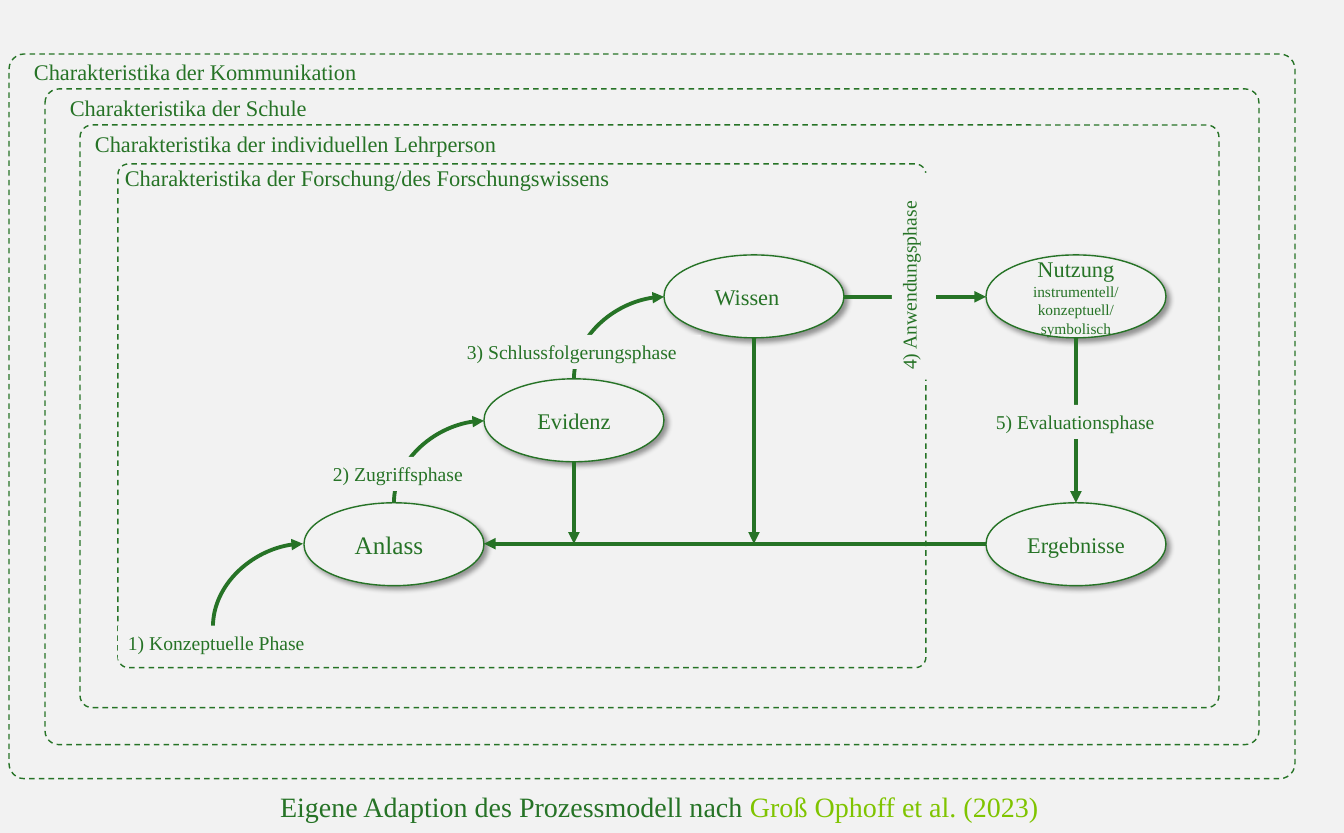
from lxml.etree import SubElement
from pptx import Presentation
from pptx.dml.color import RGBColor
from pptx.enum.dml import MSO_LINE
from pptx.enum.shapes import MSO_CONNECTOR, MSO_SHAPE
from pptx.enum.text import MSO_ANCHOR, MSO_AUTO_SIZE, PP_ALIGN
from pptx.oxml.ns import qn
from pptx.util import Emu, Inches, Mm, Pt

THEME = {
    "font": "Times New Roman",
    "green": RGBColor.from_string("267326"),
    "lime": RGBColor.from_string("7FC400"),
    "paper": RGBColor.from_string("F2F2F2"),
    "shadow": "000000",
    "source": 20, "start": 18, "text": 16, "phase": 14, "detail": 11,
    "outline": 1, "arrow": 2.75,
}
EMU_PER_PX = Inches(1) / 100.8


def px(*values):
    return [Emu(round(v * EMU_PER_PX)) for v in values]


def write(tf, lines, sizes, align=PP_ALIGN.LEFT, anchor=MSO_ANCHOR.TOP):
    tf.word_wrap = True
    tf.auto_size = MSO_AUTO_SIZE.NONE
    tf.vertical_anchor = anchor
    tf.text = "\n".join(lines)
    for p, size in zip(tf.paragraphs, sizes):
        p.alignment = align
        for r in p.runs:
            r.font.name = THEME["font"]
            r.font.size = Pt(size)
            r.font.color.rgb = THEME["green"]


prs = Presentation()
prs.slide_width, prs.slide_height = px(1344)[0], Mm(210)
slide = prs.slides.add_slide(prs.slide_layouts[5])
slide.background.fill.solid()
slide.background.fill.fore_color.rgb = THEME["paper"]
shapes = slide.shapes

title = shapes.title
title.left, title.top, title.width, title.height = px(270, 785, 869, 44)
write(title.text_frame, ["Eigene Adaption des Prozessmodell nach "], [THEME["source"]])
r = title.text_frame.paragraphs[0].add_run()
r.text = "Groß Ophoff et al. (2023)"
r.font.name = THEME["font"]
r.font.size = Pt(THEME["source"])
r.font.color.rgb = THEME["lime"]

frames = [
    ("Charakteristika der Kommunikation", (9, 54, 1286, 725), (24, 53, 381, 37)),
    ("Charakteristika der Schule", (45, 89, 1214, 656), (60, 89, 285, 37)),
    ("Charakteristika der individuellen Lehrperson", (80, 125, 1139, 583), (85, 125, 465, 37)),
    ("Charakteristika der Forschung/des Forschungswissens", (118, 164, 808, 504), (115, 159, 557, 37)),
]
for caption, frame_box, caption_box in frames:
    sp = shapes.add_shape(MSO_SHAPE.ROUNDED_RECTANGLE, *px(*frame_box))
    sp.adjustments[0] = 0.021
    sp.shadow.inherit = False
    sp.fill.background()
    sp.line.color.rgb = THEME["green"]
    sp.line.width = Pt(THEME["outline"])
    sp.line.dash_style = MSO_LINE.DASH
    write(shapes.add_textbox(*px(*caption_box)).text_frame, [caption], [THEME["text"]])

NODE_W, NODE_H = 180, 83
nodes = [
    (304, 503, ["Anlass"], [THEME["start"]], 10),
    (484, 379, ["Evidenz"], [THEME["text"]], 0),
    (664, 255, ["Wissen"], [THEME["text"]], 14),
    (986, 255, ["Nutzung", "instrumentell/", "konzeptuell/", "symbolisch"],
     [THEME["text"]] + [THEME["detail"]] * 3, 0),
    (986, 503, ["Ergebnisse"], [THEME["text"]], 0),
]
for x, y, lines, sizes, inset in nodes:
    sp = shapes.add_shape(MSO_SHAPE.OVAL, *px(x, y, NODE_W, NODE_H))
    sp.fill.solid()
    sp.fill.fore_color.rgb = THEME["paper"]
    sp.line.color.rgb = THEME["green"]
    sp.line.width = Pt(THEME["outline"])
    sp.shadow.inherit = False
    effects = sp._element.spPr.find(qn("a:effectLst"))
    shadow = SubElement(effects, qn("a:outerShdw"), blurRad=str(Pt(4)), dist=str(Pt(3)),
                        dir="2700000", algn="tl", rotWithShape="0")
    color = SubElement(shadow, qn("a:srgbClr"), val=THEME["shadow"])
    SubElement(color, qn("a:alpha"), val="40000")
    tf = sp.text_frame
    tf.margin_left, tf.margin_right, tf.margin_top, tf.margin_bottom = px(0, inset, 0, 0)
    write(tf, lines, sizes, PP_ALIGN.CENTER, MSO_ANCHOR.MIDDLE)

arrows = [
    (213, 627, 303, 544, True),
    (394, 503, 484, 421, True),
    (574, 379, 664, 297, True),
    (844, 297, 986, 297, False),
    (1076, 338, 1076, 503, False),
    (986, 544, 484, 544, False),
    (574, 462, 574, 544, False),
    (754, 338, 754, 544, False),
]
for x1, y1, x2, y2, curved in arrows:
    if curved:
        cx, cy = (x1 + x2) / 2, (y1 + y2) / 2
        half_w, half_h = (y1 - y2) / 2, (x2 - x1) / 2
        line = shapes.add_connector(
            MSO_CONNECTOR.CURVE, *px(cx + half_w, cy + half_h, cx - half_w, cy - half_h))
        line._element.spPr.find(qn("a:xfrm")).set("rot", "5400000")
        line._element.spPr.find(qn("a:prstGeom")).set("prst", "curvedConnector2")
    else:
        line = shapes.add_connector(MSO_CONNECTOR.STRAIGHT, *px(x1, y1, x2, y2))
    line.line.color.rgb = THEME["green"]
    line.line.width = Pt(THEME["arrow"])
    SubElement(line.line._get_or_add_ln(), qn("a:tailEnd"), type="triangle")
    SubElement(line._element.spPr, qn("a:effectLst"))

phases = [
    ("1) Konzeptuelle Phase", (118, 626, 233, 34), False),
    ("2) Zugriffsphase", (323, 457, 183, 34), False),
    ("3) Schlussfolgerungsphase", (457, 335, 244, 34), False),
    ("4) Anwendungsphase", (892, 173, 44, 207), True),
    ("5) Evaluationsphase", (986, 405, 195, 34), False),
]
for text, box, upright in phases:
    sp = shapes.add_shape(MSO_SHAPE.RECTANGLE, *px(*box))
    sp.shadow.inherit = False
    sp.fill.solid()
    sp.fill.fore_color.rgb = THEME["paper"]
    sp.line.fill.background()
    write(sp.text_frame, [text], [THEME["phase"]])
    if upright:
        sp.text_frame._txBody.bodyPr.set("vert", "vert270")

prs.save("out.pptx")
